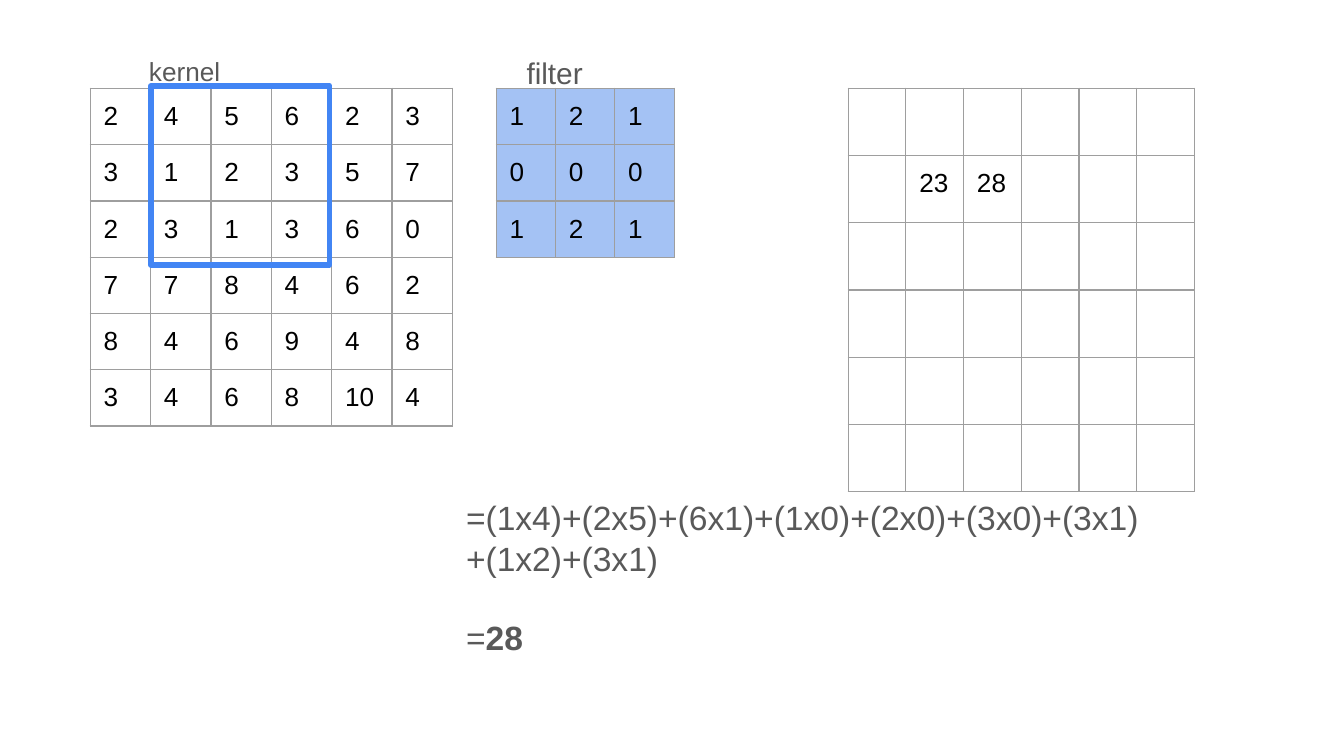
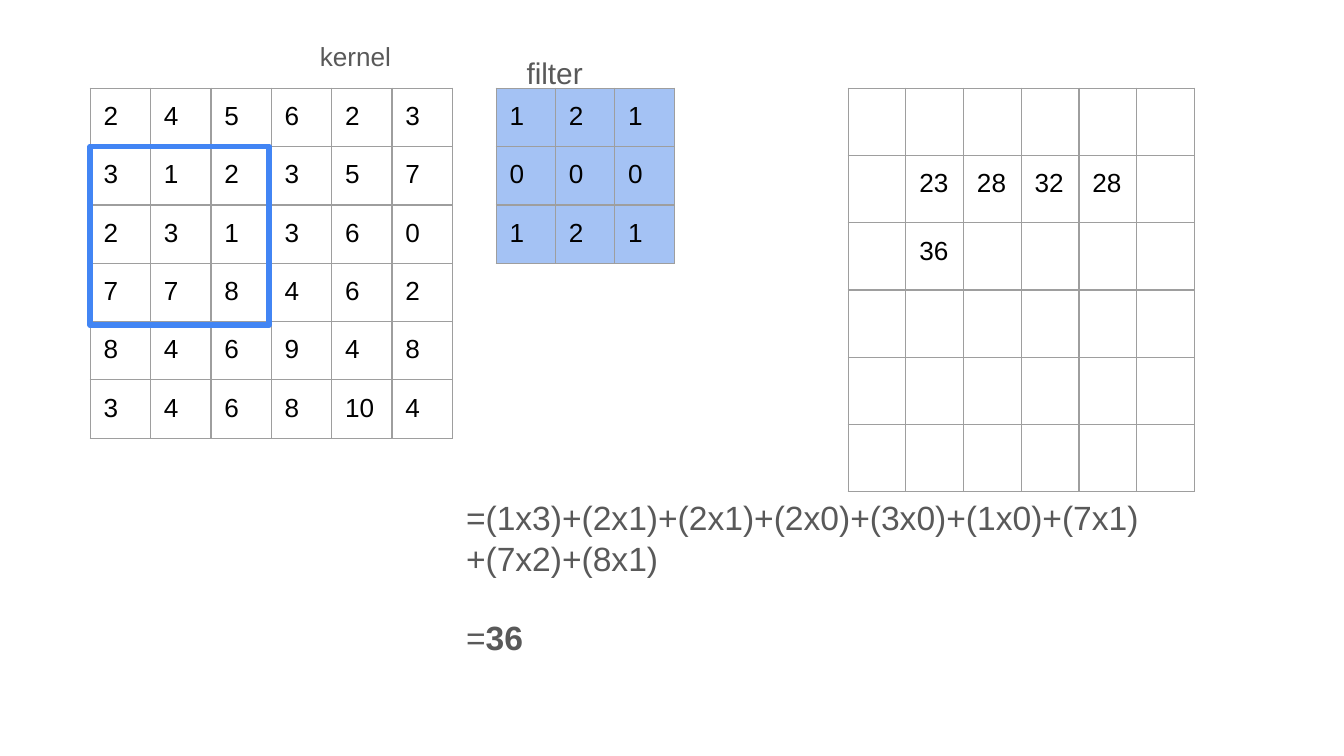
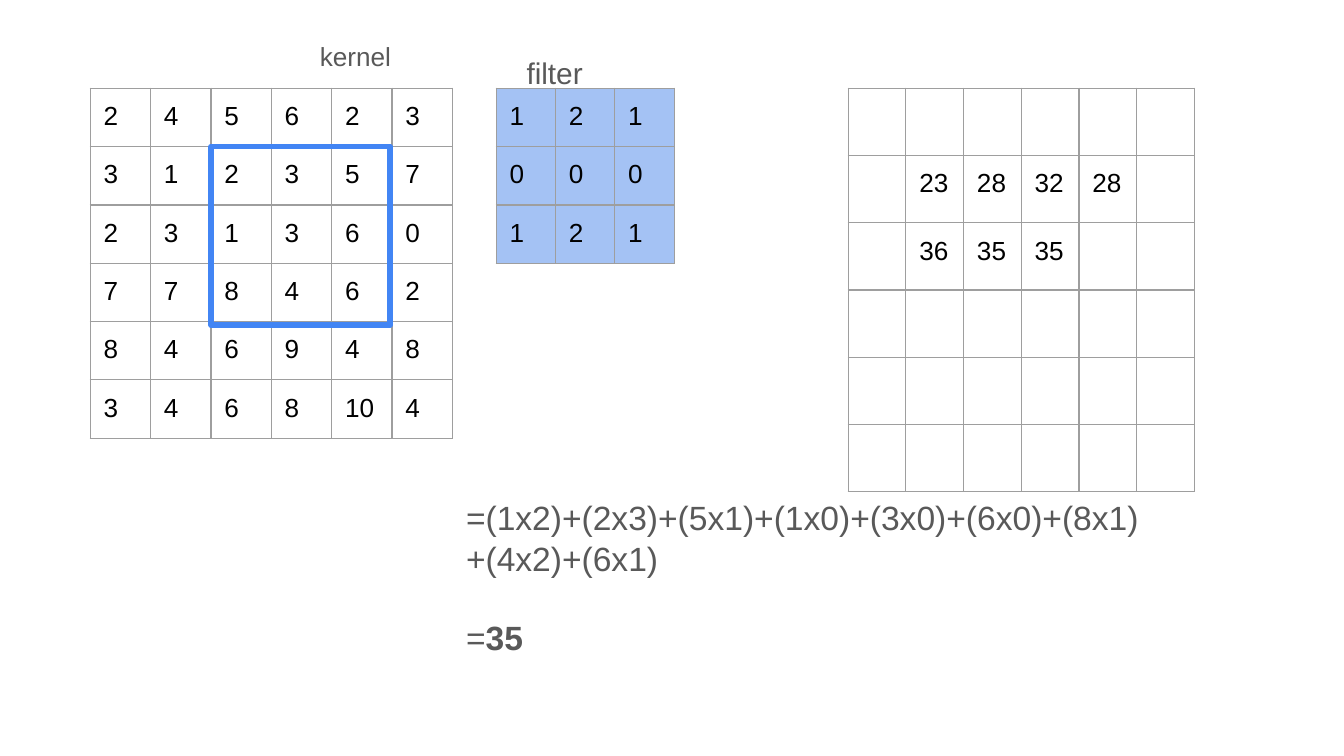
from pptx import Presentation
from pptx.dml.color import RGBColor
from pptx.enum.shapes import MSO_SHAPE
from pptx.enum.text import MSO_ANCHOR
from pptx.oxml.ns import qn
from pptx.util import Pt
from lxml.etree import SubElement

COLORS = {
    "border": "9E9E9E",
    "filter": "A4C2F4",
    "window": "4285F4",
    "number": "000000",
    "label": "595959",
}
FONT = "Arial"
INSET = 7.2
GRID_TOP = 47.3
WINDOW_STEP = 32.4

KERNEL = [
    [2, 4, 5, 6, 2, 3],
    [3, 1, 2, 3, 5, 7],
    [2, 3, 1, 3, 6, 0],
    [7, 7, 8, 4, 6, 2],
    [8, 4, 6, 9, 4, 8],
    [3, 4, 6, 8, 10, 4],
]
FILTER = [[1, 2, 1], [0, 0, 0], [1, 2, 1]]

STEPS = [
    {
        "window": (0, 1), "row_height": 30.1, "kernel_label": (72.7, 22.3),
        "results": [[23, 28]],
        "sum": "=(1x4)+(2x5)+(6x1)+(1x0)+(2x0)+(3x0)+(3x1)+(1x2)+(3x1)",
        "total": "28", "sum_height": 123.8,
    },
    {
        "window": (1, 0), "row_height": 31.2, "kernel_label": (164.2, 14.4),
        "results": [[23, 28, 32, 28], [36]],
        "sum": "=(1x3)+(2x1)+(2x1)+(2x0)+(3x0)+(1x0)+(7x1)+(7x2)+(8x1)",
        "total": "36", "sum_height": 123.8,
    },
    {
        "window": (1, 2), "row_height": 31.2, "kernel_label": (164.2, 14.4),
        "results": [[23, 28, 32, 28], [36, 35, 35]],
        "sum": "=(1x2)+(2x3)+(5x1)+(1x0)+(3x0)+(6x0)+(8x1)+(4x2)+(6x1)",
        "total": "35", "sum_height": 101.5,
    },
]


def color(name):
    return RGBColor.from_string(COLORS[name])


def add_run(paragraph, text, size, color_name, bold=False):
    run = paragraph.add_run()
    run.text = text
    run.font.name = FONT
    run.font.size = Pt(size)
    run.font.bold = bold
    run.font.color.rgb = color(color_name)


def set_insets(target):
    for side in ("left", "right", "top", "bottom"):
        setattr(target, f"margin_{side}", Pt(INSET))


def add_borders(cell):
    properties = cell._tc.get_or_add_tcPr()
    for position, tag in enumerate(("a:lnL", "a:lnR", "a:lnT", "a:lnB")):
        line = SubElement(properties, qn(tag), w=str(Pt(0.75)))
        fill = SubElement(line, qn("a:solidFill"))
        SubElement(fill, qn("a:srgbClr"), val=COLORS["border"])
        properties.insert(position, line)


def add_grid(slide, left, column_width, row_height, values, fill=None):
    """Draw a square-ruled number grid; None leaves a cell empty."""
    rows, columns = len(values), len(values[0])
    table = slide.shapes.add_table(
        rows, columns, Pt(left), Pt(GRID_TOP),
        Pt(column_width * columns), Pt(row_height * rows)).table
    table.first_row = table.horz_banding = False
    for column in table.columns:
        column.width = Pt(column_width)
    for row, row_values in zip(table.rows, values):
        row.height = Pt(row_height)
        for cell, value in zip(row.cells, row_values):
            set_insets(cell)
            cell.vertical_anchor = MSO_ANCHOR.TOP
            if fill:
                cell.fill.solid()
                cell.fill.fore_color.rgb = color(fill)
            else:
                cell.fill.background()
            add_borders(cell)
            if value is not None:
                add_run(cell.text_frame.paragraphs[0], str(value), 14, "number")


def add_text_frame(slide, left, top, width, height):
    box = slide.shapes.add_textbox(Pt(left), Pt(top), Pt(width), Pt(height))
    frame = box.text_frame
    frame.word_wrap = True
    set_insets(frame)
    return frame


def add_label(slide, left, top, width, height, text, size):
    frame = add_text_frame(slide, left, top, width, height)
    add_run(frame.paragraphs[0], text, size, "label")


def add_calculation(slide, left, top, width, height, sum_text, total):
    frame = add_text_frame(slide, left, top, width, height)
    add_run(frame.paragraphs[0], sum_text, 18, "label")
    result = frame.add_paragraph()
    result.space_before = Pt(21)
    add_run(result, "=", 18, "label")
    add_run(result, total, 18, "label", bold=True)


def add_window(slide, row, column):
    """Outline the 3 by 3 cells under the filter."""
    shape = slide.shapes.add_shape(
        MSO_SHAPE.RECTANGLE,
        Pt(48.4 + column * WINDOW_STEP), Pt(46.1 + row * WINDOW_STEP),
        Pt(95.8), Pt(95.8))
    shape.shadow.inherit = False
    shape.fill.background()
    shape.line.color.rgb = color("window")
    shape.line.width = Pt(3)


def result_values(results):
    """Place the results inside a one-cell empty margin."""
    values = [[None] * 6 for _ in range(6)]
    for row, numbers in enumerate(results, start=1):
        values[row][1:1 + len(numbers)] = numbers
    return values


def add_step_slide(presentation, step):
    slide = presentation.slides.add_slide(presentation.slide_layouts[6])
    # Kernel and filter
    add_grid(slide, 48.3, 32.35, step["row_height"], KERNEL)
    add_grid(slide, 265.8, 31.8, step["row_height"], FILTER, "filter")
    add_label(slide, *step["kernel_label"], 58.3, 31.7, "kernel", 14)
    add_label(slide, 275, 22.3, 445, 33.8, "filter", 16)
    # Results and calculation
    add_grid(slide, 454.4, 30.9, 36, result_values(step["results"]))
    add_calculation(slide, 242.6, 259.2, 377.3, step["sum_height"],
                    step["sum"], step["total"])
    # Current window
    add_window(slide, *step["window"])


def main():
    presentation = Presentation()
    presentation.slide_width, presentation.slide_height = Pt(720), Pt(405)
    for step in STEPS:
        add_step_slide(presentation, step)
    presentation.save("out.pptx")


if __name__ == "__main__":
    main()
